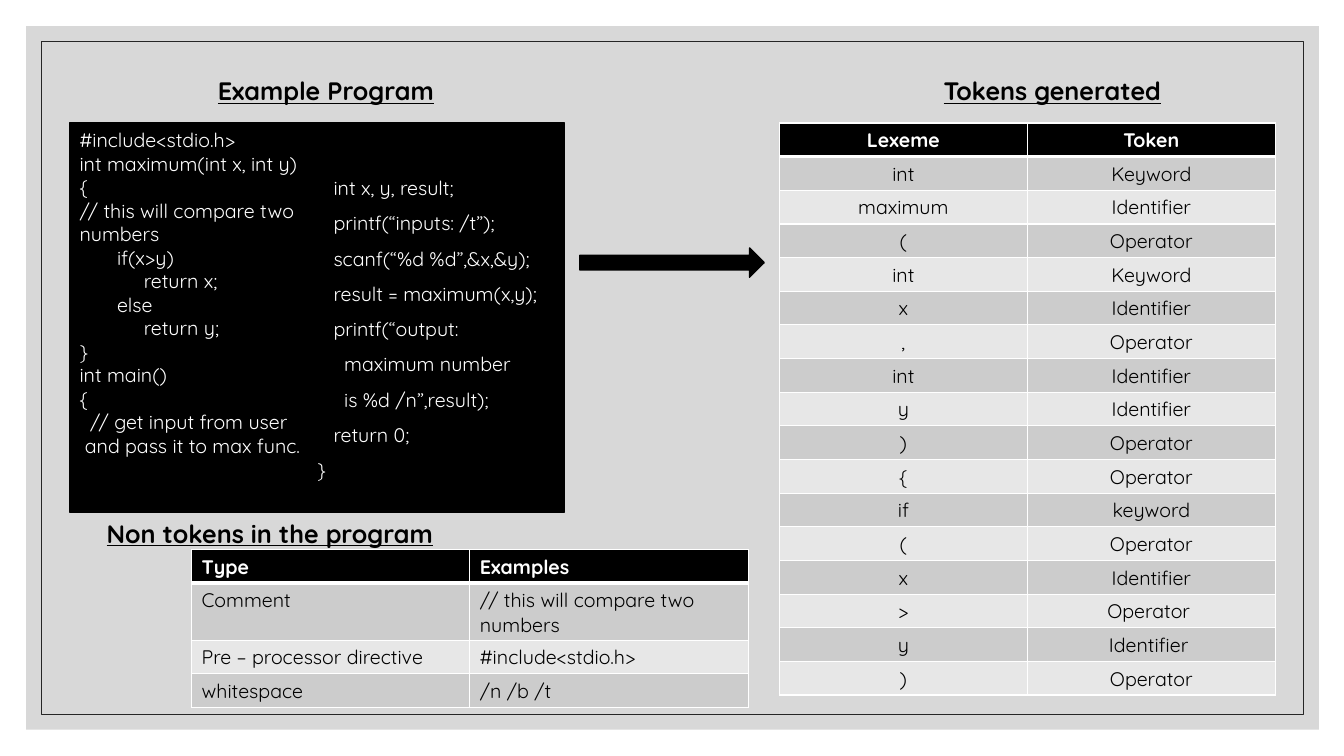
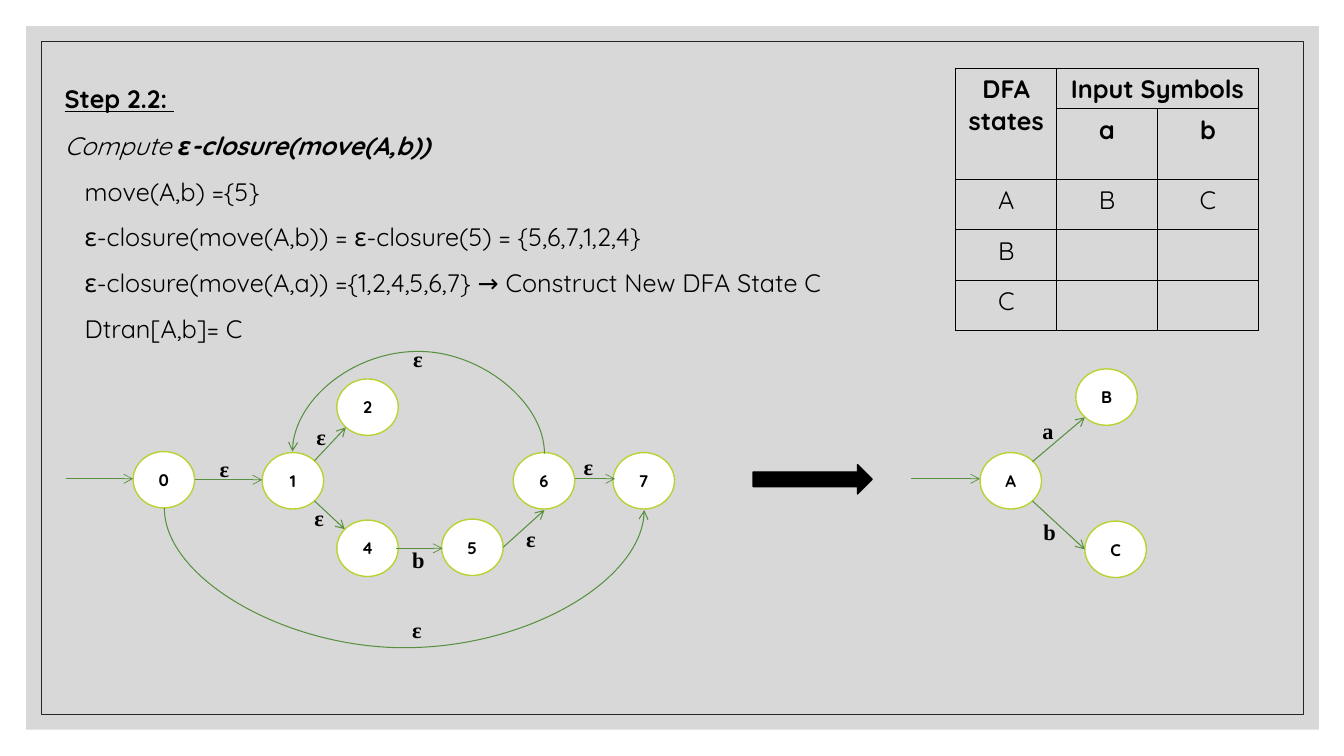
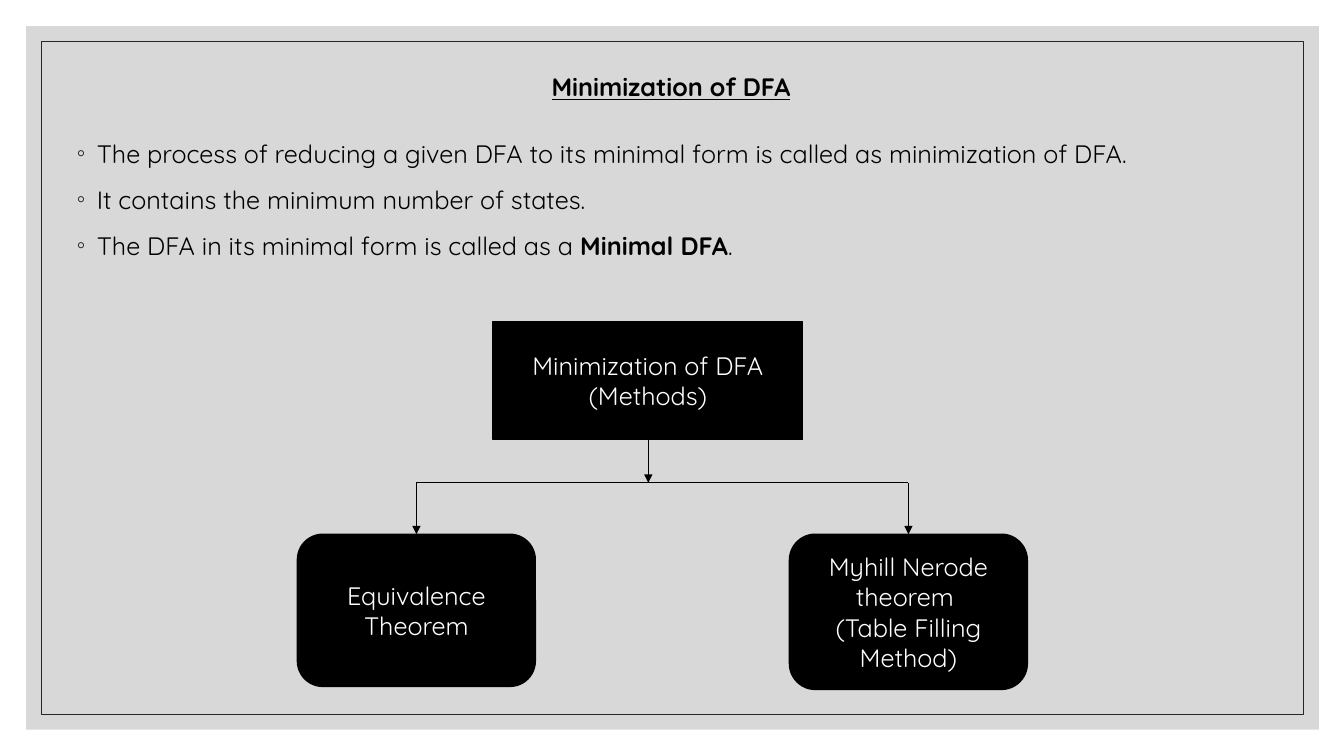
"""Builds three slides on lexical tokens and finite automata."""
from pptx import Presentation
from pptx.dml.color import RGBColor
from pptx.enum.shapes import MSO_CONNECTOR, MSO_SHAPE
from pptx.enum.text import MSO_ANCHOR, MSO_AUTO_SIZE, PP_ALIGN
from pptx.oxml.ns import qn
from pptx.util import Pt
from lxml.etree import SubElement

PX = 9144
SLIDE_SIZE = (1333, 750)
FONT = "Quicksand"
COLORS = {
    "black": "000000", "white": "FFFFFF", "panel": "BFBFBF", "frame": "262626",
    "dark_row": "CCCCCC", "light_row": "E7E7E7", "ring": "B8D233", "edge": "57903F",
}
PANEL = (26, 26, 1282, 698)
FRAME = (41, 41, 1252, 668)

PROGRAM_TITLE = ("Example Program", (206, 70, 260, 40))
HEADINGS = [
    ("Tokens generated", (926, 70, 260, 40)),
    ("Non tokens in the program", (96, 509, 370, 40)),
]
CODE_BOX = (69, 122, 491, 386)
CODE_LEFT = [
    "#include<stdio.h>",
    "int maximum(int x, int y)",
    "{",
    "// this will compare two numbers",
    "       if(x>y)",
    "            return x;",
    "       else",
    "            return y;",
    "}",
    "int main()",
    "{",
    "  // get input from user",
    " and pass it to max func.",
]
CODE_RIGHT_BOX = (305, 158, 255, 350)
CODE_RIGHT = [
    "   int x, y, result;",
    "   printf(“inputs: /t”);",
    "   scanf(“%d %d”,&x,&y);",
    "   result = maximum(x,y);",
    "   printf(“output:",
    "     maximum number",
    "     is %d /n”,result);",
    "   return 0;",
    "}",
]
TOKENS = [
    ("Lexeme", "Token"), ("int", "Keyword"), ("maximum", "Identifier"),
    ("(", "Operator"), ("int", "Keyword"), ("x", "Identifier"),
    (",", "Operator"), ("int", "Identifier"), ("y", "Identifier"),
    (")", "Operator"), ("{", "Operator"), ("if", "keyword"),
    ("(", "Operator"), ("x", "Identifier"), (">", "Operator "),
    ("y", "Identifier "), (")", "Operator"),
]
NON_TOKENS = [
    ("Type", "Examples"),
    ("Comment", "// this will compare two numbers"),
    ("Pre – processor directive", "#include<stdio.h>"),
    ("whitespace", "/n /b /t"),
]
TOKENS_ARROW = (575, 246, 183, 29)

STEP_TITLE = ("Step 2.2: ", (54, 75, 400, 44))
STEP_BOX = (54, 121, 880, 230)
STEP_TASK = ("Compute ", "ε-closure(move(A,b))")
STEP_LINES = [
    "move(A,b) ={5}",
    "ε-closure(move(A,b)) = ε-closure(5) = {5,6,7,1,2,4}",
    "ε-closure(move(A,a)) ={1,2,4,5,6,7} → Construct New DFA State C",
    "Dtran[A,b]= C",
]
NODE_SIZE = (61, 56)
NODES = {
    "0": (132, 448), "1": (260, 449), "2": (334, 376), "4": (334, 516),
    "5": (438, 515), "6": (509, 449), "7": (608, 449),
    "A": (972, 449), "B": (1067, 366), "C": (1076, 517),
}
EDGES = [
    (65, 475, 132, 475), (193, 476, 260, 476), (312, 457, 343, 424),
    (312, 497, 342, 525), (393, 544, 439, 544), (499, 543, 540, 506),
    (570, 475, 610, 475), (904, 475, 972, 475), (1024, 458, 1076, 414),
    (1024, 497, 1076, 545),
]
ARCS = [(163, 639, 505, 138, "flipH"), (290, 540, 449, 101, "flipV")]
LABEL_SIZE = (34, 37)
LABELS = [
    ("b", 399, 537), ("ε", 304, 415), ("ε", 400, 338), ("ε", 512, 516),
    ("ε", 302, 495), ("ε", 208, 447), ("ε", 569, 445), ("ε", 399, 606),
    ("a", 1024, 409), ("b", 1025, 509),
]
DFA_ARROW = (747, 461, 118, 29)
DFA_ROWS = [
    ("DFA states", "Input Symbols", None),
    (None, "a", "b"),
    ("A", "B", "C"),
    ("B", None, None),
    ("C", None, None),
]

METHODS_TITLE = ("Minimization of DFA", (537, 66, 280, 40))
METHODS_BOX = (66, 129, 1200, 160)
METHODS_POINTS = [
    ["The process of reducing a given DFA to its minimal form is called as minimization of DFA."],
    ["It contains the minimum number of states."],
    ["The DFA in its minimal form is called as a ", "Minimal DFA", "."],
]
METHODS = [
    (MSO_SHAPE.RECTANGLE, (489, 319, 307, 117), ["Minimization of DFA (Methods)"]),
    (MSO_SHAPE.ROUNDED_RECTANGLE, (295, 530, 236, 151), ["Equivalence Theorem"]),
    (MSO_SHAPE.ROUNDED_RECTANGLE, (783, 530, 236, 154),
     ["Myhill Nerode theorem ", "(Table Filling Method)"]),
]
METHOD_LINES = [
    ((643, 437, 643, 479), "triangle"), ((413, 479, 901, 479), None),
    ((413, 479, 413, 530), "triangle"), ((901, 479, 901, 530), "triangle"),
]


def emu(lengths):
    return [length * PX for length in lengths]


def rgb(color):
    return RGBColor.from_string(COLORS[color])


def set_font(paragraph, size, color="black", bold=False, name=FONT, underline=None):
    font = paragraph.font
    font.name, font.size, font.bold = name, Pt(size), bold
    font.underline = underline
    font.color.rgb = rgb(color)


def write(frame, lines, size, color="black", align=PP_ALIGN.LEFT, spacing=None, **looks):
    frame.word_wrap = True
    for number, line in enumerate(lines):
        paragraph = frame.add_paragraph() if number else frame.paragraphs[0]
        paragraph.text = line
        paragraph.alignment = align
        if spacing:
            paragraph.line_spacing = spacing
        set_font(paragraph, size, color, **looks)


def add_box(slide, preset, area, fill=None, line=None, width=1):
    box = slide.shapes.add_shape(preset, *emu(area))
    box.shadow.inherit = False
    if fill:
        box.fill.solid()
        box.fill.fore_color.rgb = rgb(fill)
    else:
        box.fill.background()
    if line:
        box.line.color.rgb = rgb(line)
        box.line.width = Pt(width)
    else:
        box.line.fill.background()
    return box


def add_text(slide, area, lines, size, **looks):
    frame = slide.shapes.add_textbox(*emu(area)).text_frame
    write(frame, lines, size, **looks)


def place(placeholder, area):
    placeholder.left, placeholder.top, placeholder.width, placeholder.height = emu(area)
    frame = placeholder.text_frame
    frame.auto_size = MSO_AUTO_SIZE.NONE
    frame.vertical_anchor = MSO_ANCHOR.TOP
    return frame


def add_title(slide, title, spacing=None):
    text, area = title
    write(place(slide.shapes.title, area), [text], 18, bold=True, underline=True, spacing=spacing)


def add_body_line(frame, number, parts, margin, indent, bullet=None):
    paragraph = frame.add_paragraph() if number else frame.paragraphs[0]
    properties = paragraph._p.get_or_add_pPr()
    properties.set("marL", str(margin * PX))
    properties.set("indent", str(indent * PX))
    if bullet:
        bullet_color = SubElement(properties, qn("a:buClr"))
        SubElement(bullet_color, qn("a:srgbClr"), val=COLORS["frame"])
        SubElement(properties, qn("a:buChar"), char=bullet)
    else:
        SubElement(properties, qn("a:buNone"))
    paragraph.line_spacing = 1.1
    paragraph.space_before = Pt(9 if number else 0)
    set_font(paragraph, 18)
    for position, part in enumerate(parts):
        run = paragraph.add_run()
        run.text = part
        if position == 1:
            run.font.bold = True
    return paragraph


def finish_line(connector, color, width, head):
    connector.line.color.rgb = rgb(color)
    connector.line.width = Pt(width)
    if head:
        SubElement(connector.line._get_or_add_ln(), qn("a:tailEnd"), type=head)
    SubElement(connector._element.spPr, qn("a:effectLst"))


def add_line(slide, ends, color, width, head):
    connector = slide.shapes.add_connector(MSO_CONNECTOR.STRAIGHT, *emu(ends))
    finish_line(connector, color, width, head)


def add_arc(slide, left, right, level, reach, flip):
    depth, span = 2, right - left
    x, y = (left + right - depth) // 2, level - span // 2
    connector = slide.shapes.add_connector(
        MSO_CONNECTOR.CURVE, *emu((x, y, x + depth, y + span)))
    properties = connector._element.spPr
    transform = properties.find(qn("a:xfrm"))
    transform.set("rot", str(270 * 60000))
    transform.set(flip, "1")
    guides = properties.find(qn("a:prstGeom")).get_or_add_avLst()
    SubElement(guides, qn("a:gd"), name="adj1", fmla=f"val {reach * 100000 // depth}")
    finish_line(connector, "edge", 0.75, "arrow")


def set_borders(cell, color, bottom=1):
    properties = cell._tc.get_or_add_tcPr()
    for side, width in (("L", 1), ("R", 1), ("T", 1), ("B", bottom)):
        border = SubElement(properties, qn(f"a:ln{side}"), w=str(Pt(width)))
        fill = SubElement(border, qn("a:solidFill"))
        SubElement(fill, qn("a:srgbClr"), val=COLORS[color])


def add_grid(slide, corner, rows, column_width, heights):
    columns = len(rows[0])
    area = (*corner, column_width * columns, sum(heights))
    table = slide.shapes.add_table(len(rows), columns, *emu(area)).table
    for row, height in zip(table.rows, heights):
        row.height = height * PX
    return table


def add_banded_table(slide, corner, rows, column_width, heights, align):
    table = add_grid(slide, corner, rows, column_width, heights)
    for r, row in enumerate(rows):
        fill = ("light_row", "dark_row")[r % 2] if r else "black"
        for c, text in enumerate(row):
            cell = table.cell(r, c)
            write(cell.text_frame, [text], 14, "black" if r else "white", align, bold=r == 0)
            set_borders(cell, "white", 1 if r else 3)
            cell.fill.solid()
            cell.fill.fore_color.rgb = rgb(fill)


def add_dfa_table(slide):
    table = add_grid(slide, (948, 68), DFA_ROWS, 100, [40, 70, 50, 50, 50])
    table.first_row = table.horz_banding = False
    for r, row in enumerate(DFA_ROWS):
        for c, text in enumerate(row):
            cell = table.cell(r, c)
            if text:
                write(cell.text_frame, [text], 18, align=PP_ALIGN.CENTER, bold=r < 2)
            set_borders(cell, "black")
            cell.fill.background()
    table.cell(0, 0).merge(table.cell(1, 0))
    table.cell(0, 1).merge(table.cell(0, 2))


def add_background(deck, slide):
    panel = add_box(slide, MSO_SHAPE.RECTANGLE, PANEL, fill="panel")
    tint = panel._element.spPr.find(qn("a:solidFill"))[0]
    SubElement(tint, qn("a:alpha"), val="60000")
    frame = add_box(slide, MSO_SHAPE.RECTANGLE, FRAME, line="frame", width=0.5)
    for position, shape in enumerate((panel, frame)):
        shape._element.nvSpPr.cNvPr.set("id", str(101 + position))
        deck.slide_master.shapes._spTree.insert(2 + position, shape._element)


def build_tokens(slide):
    add_title(slide, PROGRAM_TITLE)
    for text, area in HEADINGS:
        add_text(slide, area, [text], 18, bold=True, underline=True)
    code = add_box(slide, MSO_SHAPE.RECTANGLE, CODE_BOX, "black", "black").text_frame
    code.vertical_anchor = MSO_ANCHOR.TOP
    code.margin_right = (CODE_BOX[2] // 2) * PX
    write(code, CODE_LEFT, 14, "white")
    add_text(slide, CODE_RIGHT_BOX, CODE_RIGHT, 14, color="white", spacing=1.5)
    add_box(slide, MSO_SHAPE.RIGHT_ARROW, TOKENS_ARROW, "black", "black")
    add_banded_table(slide, (773, 122), TOKENS, 246, [33] * len(TOKENS), PP_ALIGN.CENTER)
    add_banded_table(slide, (190, 545), NON_TOKENS, 276, [33, 56, 33, 33], PP_ALIGN.LEFT)


def build_step(slide):
    add_title(slide, STEP_TITLE, spacing=1.1)
    body = place(slide.placeholders[1], STEP_BOX)
    task = add_body_line(body, 0, STEP_TASK, 0, 0)
    task.font.italic = True
    for number, line in enumerate(STEP_LINES, 1):
        add_body_line(body, number, [line], 20, 0)
    for name, corner in NODES.items():
        node = add_box(slide, MSO_SHAPE.OVAL, (*corner, *NODE_SIZE), "white", "ring")
        write(node.text_frame, [name], 12, align=PP_ALIGN.CENTER, bold=True)
    for ends in EDGES:
        add_line(slide, ends, "edge", 0.5 if ends[1] == ends[3] else 0.75, "arrow")
    for arc in ARCS:
        add_arc(slide, *arc)
    for text, x, y in LABELS:
        add_text(slide, (x, y, *LABEL_SIZE), [text], 16, bold=True, name="Times New Roman")
    add_box(slide, MSO_SHAPE.RIGHT_ARROW, DFA_ARROW, "black", "black")
    add_dfa_table(slide)


def build_methods(slide):
    add_title(slide, METHODS_TITLE)
    body = place(slide.placeholders[1], METHODS_BOX)
    for number, parts in enumerate(METHODS_POINTS):
        add_body_line(body, number, parts, 20, -20, "◦")
    for preset, area, lines in METHODS:
        method = add_box(slide, preset, area, "black", "black")
        write(method.text_frame, lines, 18, "white", PP_ALIGN.CENTER)
    for ends, head in METHOD_LINES:
        add_line(slide, ends, "black", 0.5, head)


def main():
    deck = Presentation()
    deck.slide_width, deck.slide_height = emu(SLIDE_SIZE)
    title_only, title_and_body = deck.slide_layouts[5], deck.slide_layouts[1]
    pages = [(title_only, build_tokens), (title_and_body, build_step),
             (title_and_body, build_methods)]
    for number, (layout, build) in enumerate(pages):
        slide = deck.slides.add_slide(layout)
        if number == 0:
            add_background(deck, slide)
        build(slide)
    deck.save("out.pptx")


if __name__ == "__main__":
    main()
